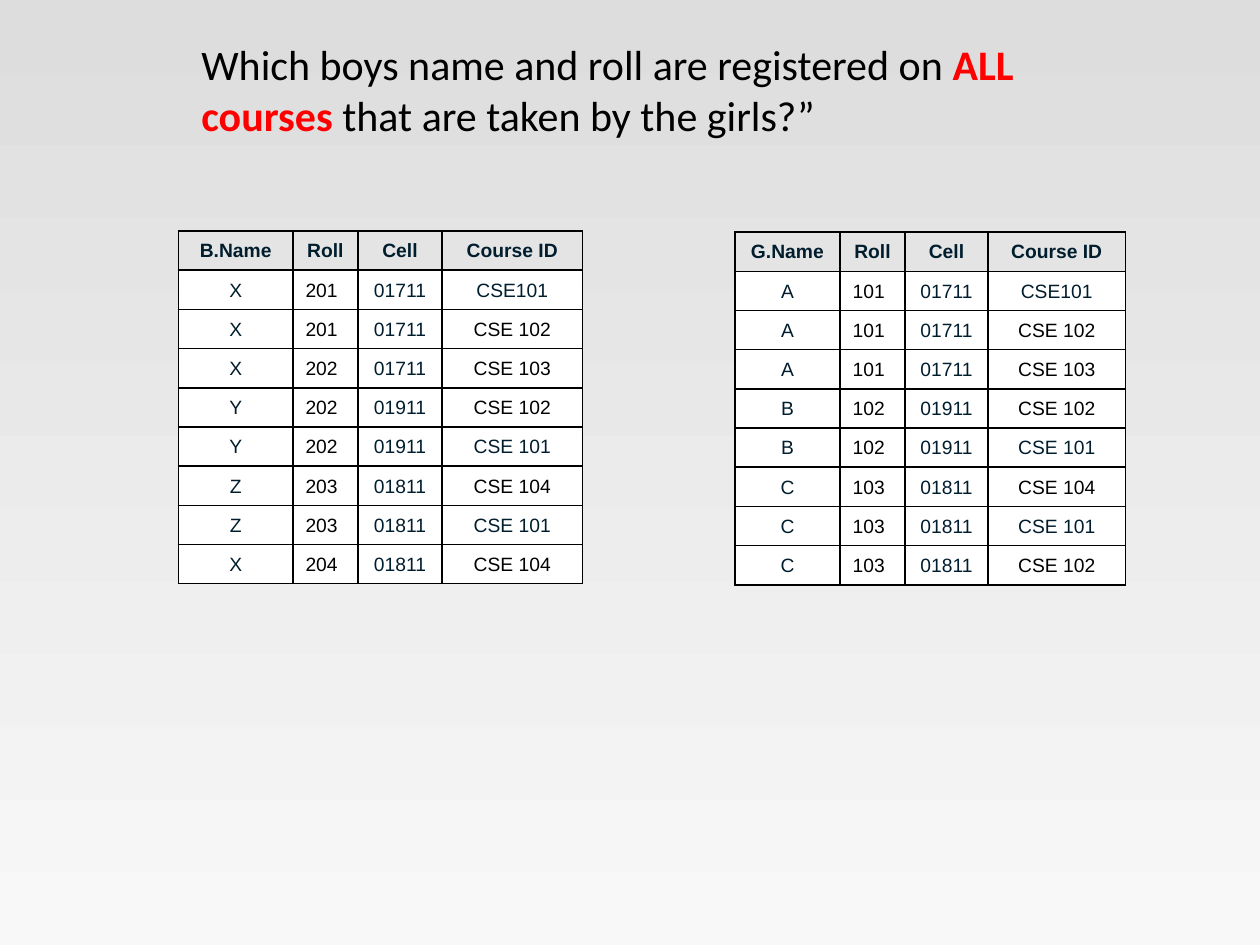
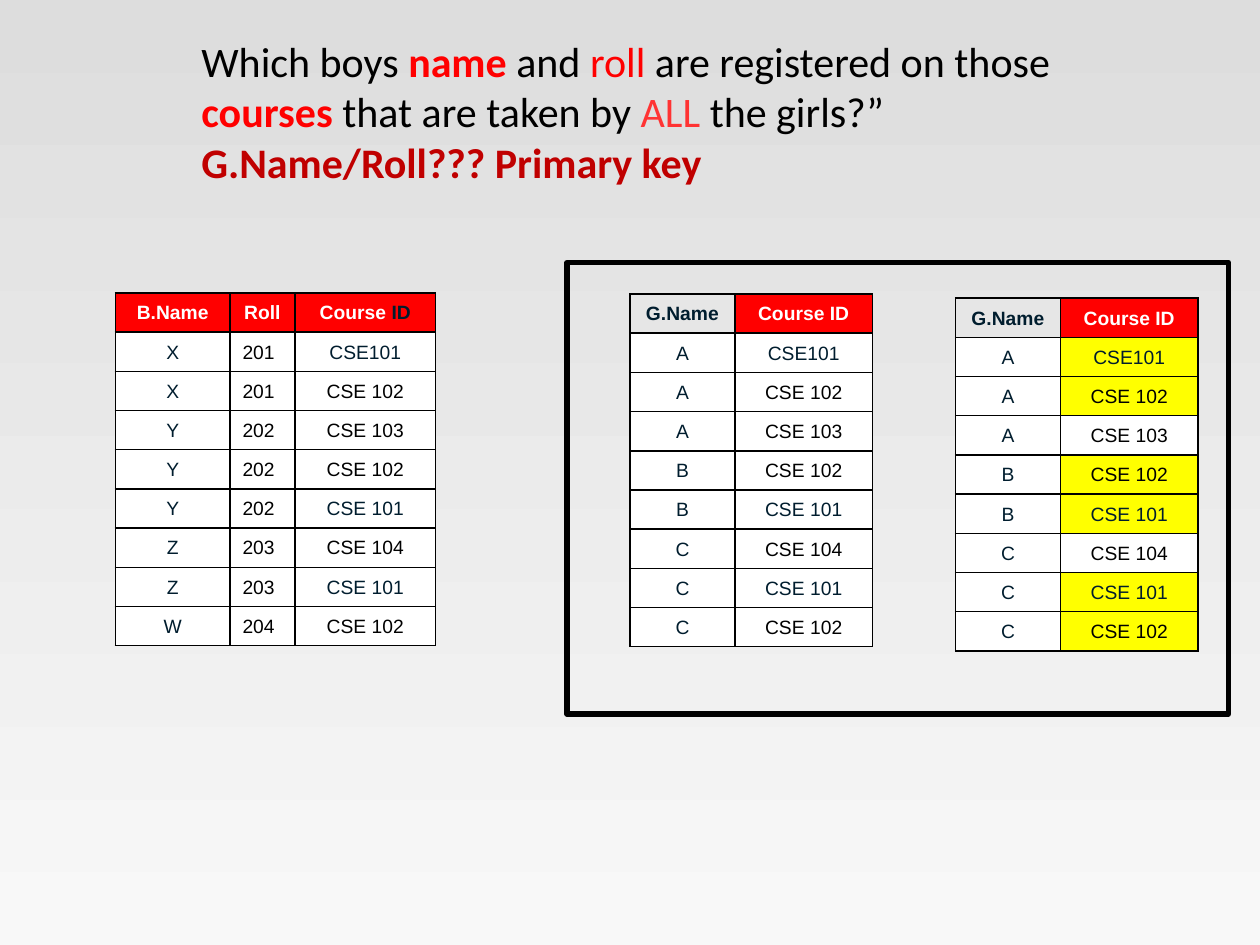
from dataclasses import dataclass

from lxml import etree
from pptx import Presentation
from pptx.dml.color import RGBColor
from pptx.enum.shapes import MSO_SHAPE
from pptx.enum.text import MSO_AUTO_SIZE, PP_ALIGN
from pptx.oxml.ns import qn
from pptx.util import Inches, Pt

LEFT, CENTER = PP_ALIGN.LEFT, PP_ALIGN.CENTER
RECTANGLE = MSO_SHAPE.RECTANGLE
GROW = MSO_AUTO_SIZE.SHAPE_TO_FIT_TEXT

SLIDE_WIDTH, SLIDE_HEIGHT = Inches(10), Inches(7.5)
GRID_COLUMNS = 120
UNIT = SLIDE_WIDTH / GRID_COLUMNS
ROW_HEIGHT = 3.73


@dataclass(frozen=True)
class Theme:
    sky: str = "DDDDDD"
    ground: str = "F8F8F8"
    black: str = "000000"
    ink: str = "001D2E"
    white: str = "FFFFFF"
    red: str = "FF0000"
    coral: str = "FF3333"
    crimson: str = "C00000"
    yellow: str = "FFFF00"
    question_font: str = "Calibri"
    table_font: str = "Arial"
    question_size: int = 24
    table_size: int = 11
    table_spacing: float = 1.15
    border: int = 1
    frame: int = 3


THEME = Theme()

BOY_WIDTHS = {"B.Name": 10.9, "Roll": 6.2, "Cell": 8, "Course ID": 13.4}
GIRL_WIDTHS = {"G.Name": 10, "Roll": 6.2, "Cell": 7.9, "Course ID": 13.1}

BOYS = [
    ("X", "201", "01711", "CSE101"),
    ("X", "201", "01711", "CSE 102"),
    ("X", "202", "01711", "CSE 103"),
    ("Y", "202", "01911", "CSE 102"),
    ("Y", "202", "01911", "CSE 101"),
    ("Z", "203", "01811", "CSE 104"),
    ("Z", "203", "01811", "CSE 101"),
    ("X", "204", "01811", "CSE 104"),
]
BOYS_BY_COURSE = [
    ("X", "201", "CSE101"),
    ("X", "201", "CSE 102"),
    ("Y", "202", "CSE 103"),
    ("Y", "202", "CSE 102"),
    ("Y", "202", "CSE 101"),
    ("Z", "203", "CSE 104"),
    ("Z", "203", "CSE 101"),
    ("W", "204", "CSE 102"),
]
GIRLS = [
    ("A", "101", "01711", "CSE101"),
    ("A", "101", "01711", "CSE 102"),
    ("A", "101", "01711", "CSE 103"),
    ("B", "102", "01911", "CSE 102"),
    ("B", "102", "01911", "CSE 101"),
    ("C", "103", "01811", "CSE 104"),
    ("C", "103", "01811", "CSE 101"),
    ("C", "103", "01811", "CSE 102"),
]
GIRLS_BY_COURSE = [(name, course) for name, _, _, course in GIRLS]

ALL_COURSES_QUESTION = [[
    ("Which boys name and roll are registered on ", THEME.black, False),
    ("ALL courses ", THEME.red, True),
    ("that are taken by the girls?”", THEME.black, False),
]]
ALL_GIRLS_QUESTION = [
    [
        ("Which boys ", THEME.black, False),
        ("name", THEME.red, True),
        (" and", THEME.black, False),
        (" roll ", THEME.red, False),
        ("are registered on those ", THEME.black, False),
        ("courses", THEME.red, True),
        (" that are taken by ", THEME.black, False),
        ("ALL ", THEME.coral, False),
        ("the girls?”", THEME.black, False),
    ],
    [("G.Name/Roll??? Primary key", THEME.crimson, True)],
]


def units(*lengths):
    return [round(length * UNIT) for length in lengths]


def add_run(paragraph, text, color, bold, font, size):
    run = paragraph.add_run()
    run.text = text
    for attribute, value in {"name": font, "size": Pt(size), "bold": bold}.items():
        setattr(run.font, attribute, value)
    run.font.color.rgb = RGBColor.from_string(color)


def add_gradient_slide(deck):
    slide = deck.slides.add_slide(deck.slide_layouts[6])
    fill = slide.background.fill
    fill.gradient()
    fill.gradient_angle = 270
    for stop, color in zip(fill.gradient_stops, (THEME.sky, THEME.ground)):
        stop.color.rgb = RGBColor.from_string(color)
    return slide


def add_question(slide, box, paragraphs):
    frame = slide.shapes.add_textbox(*units(*box)).text_frame
    frame.word_wrap = True
    frame.auto_size = GROW
    for index, runs in enumerate(paragraphs):
        paragraph = frame.add_paragraph() if index else frame.paragraphs[0]
        for text, color, bold in runs:
            add_run(paragraph, text, color, bold, THEME.question_font, THEME.question_size)


def add_borders(cell):
    properties = cell._tc.get_or_add_tcPr()
    for position, side in enumerate(("lnL", "lnR", "lnT", "lnB")):
        line = etree.Element(qn(f"a:{side}"), w=str(Pt(THEME.border)))
        fill = etree.SubElement(line, qn("a:solidFill"))
        etree.SubElement(fill, qn("a:srgbClr"), val=THEME.black)
        properties.insert(position, line)


def fill_cell(cell, runs, fill, bold, align):
    paragraph = cell.text_frame.paragraphs[0]
    paragraph.alignment = align
    paragraph.line_spacing = THEME.table_spacing
    for text, color in runs:
        add_run(paragraph, text, color, bold, THEME.table_font, THEME.table_size)
    if fill:
        cell.fill.solid()
        cell.fill.fore_color.rgb = RGBColor.from_string(fill)
    else:
        cell.fill.background()
    add_borders(cell)


def body_color(heading, value):
    is_dark = heading == "Roll" or (heading == "Course ID" and not value.endswith("101"))
    return THEME.black if is_dark else THEME.ink


def add_enrolment(slide, corner, widths, headings, records,
                  keys=(), marked=(), heading_runs=None):
    heading_runs = heading_runs or {}
    size = sum(widths[heading] for heading in headings), ROW_HEIGHT * (len(records) + 1)
    table = slide.shapes.add_table(
        len(records) + 1, len(headings), *units(*corner, *size)).table
    table.first_row = table.horz_banding = False
    for row in table.rows:
        row.height = units(ROW_HEIGHT)[0]
    for column, heading in enumerate(headings):
        table.columns[column].width = units(widths[heading])[0]
        is_key = heading in keys
        plain = [(heading, THEME.white if is_key else THEME.ink)]
        fill_cell(table.cell(0, column), heading_runs.get(heading, plain),
                  THEME.red if is_key else None, True, CENTER)
        for row, record in enumerate(records, 1):
            value = record[column]
            fill_cell(table.cell(row, column), [(value, body_color(heading, value))],
                      THEME.yellow if value in marked else THEME.white, False,
                      LEFT if heading == "Roll" else CENTER)


def add_frame(slide, box):
    frame = slide.shapes.add_shape(RECTANGLE, *units(*box))
    frame.shadow.inherit = False
    frame.fill.background()
    frame.line.color.rgb = RGBColor.from_string(THEME.black)
    frame.line.width = Pt(THEME.frame)


def build_all_courses(deck):
    slide = add_gradient_slide(deck)
    add_question(slide, (18, 3.1, 85, 10.9), ALL_COURSES_QUESTION)
    add_enrolment(slide, (70, 22.1), GIRL_WIDTHS, list(GIRL_WIDTHS), GIRLS)
    add_enrolment(slide, (17, 22), BOY_WIDTHS, list(BOY_WIDTHS), BOYS)


def build_all_girls(deck):
    slide = add_gradient_slide(deck)
    add_question(slide, (18, 2.8, 85, 20.6), ALL_GIRLS_QUESTION)
    girl_headings = ["G.Name", "Course ID"]
    boy_headings = ["B.Name", "Roll", "Course ID"]
    add_enrolment(slide, (60, 28), GIRL_WIDTHS, girl_headings, GIRLS_BY_COURSE,
                  keys=["Course ID"])
    add_enrolment(slide, (11, 27.9), BOY_WIDTHS, boy_headings, BOYS_BY_COURSE,
                  keys=boy_headings,
                  heading_runs={"Course ID": [("Course", THEME.white), (" ID", THEME.ink)]})
    add_enrolment(slide, (91, 28.4), GIRL_WIDTHS, girl_headings, GIRLS_BY_COURSE,
                  keys=["Course ID"], marked=("CSE101", "CSE 101", "CSE 102"))
    add_frame(slide, (54, 25, 63, 43))


def main():
    deck = Presentation()
    deck.slide_width, deck.slide_height = SLIDE_WIDTH, SLIDE_HEIGHT
    build_all_courses(deck)
    build_all_girls(deck)
    deck.save("out.pptx")


if __name__ == "__main__":
    main()
